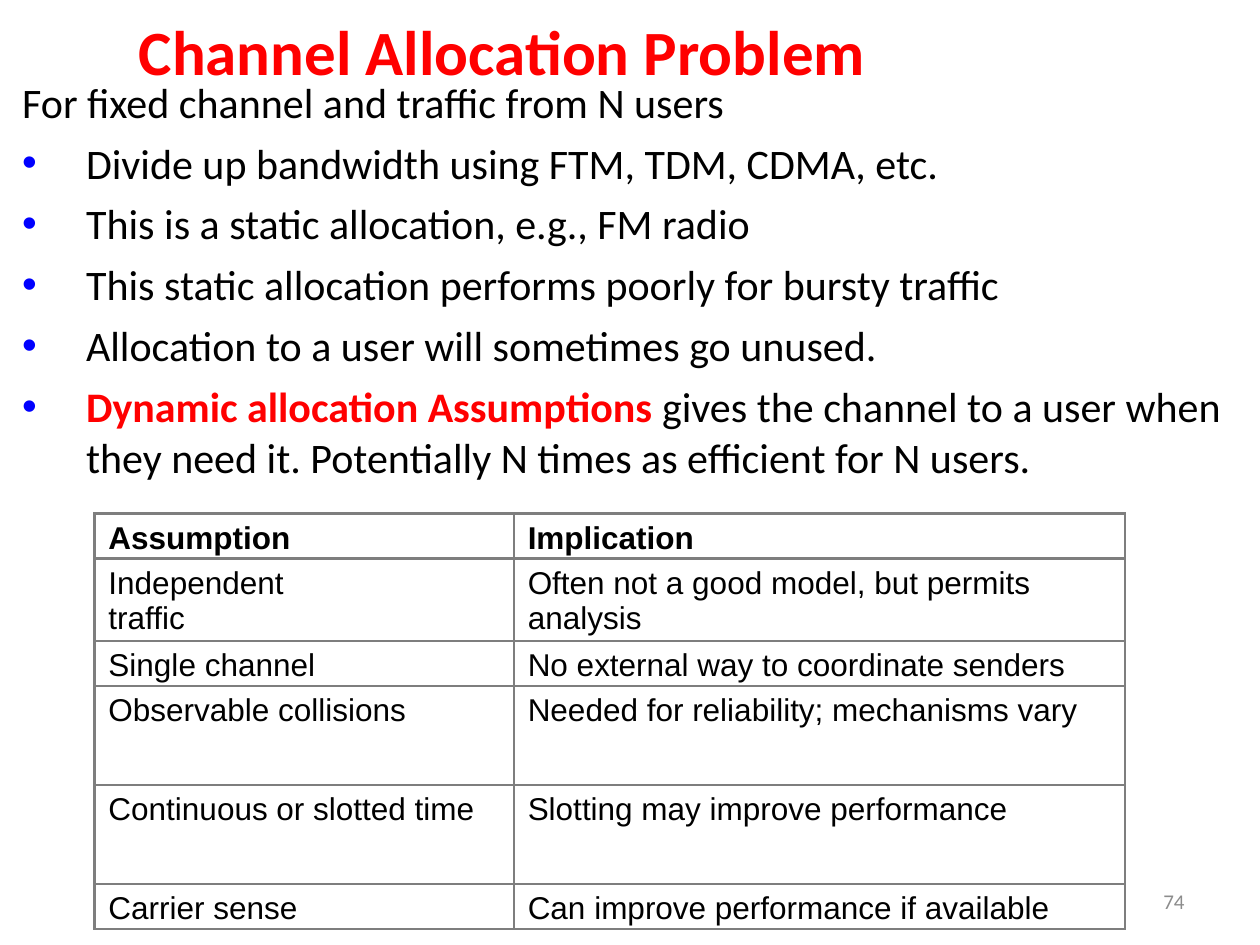
from dataclasses import dataclass

from lxml import etree
from pptx import Presentation
from pptx import util as u
from pptx.dml.color import RGBColor
from pptx.enum import text
from pptx.oxml import ns

RED = RGBColor(0xFF, 0, 0)
BLACK = RGBColor(0, 0, 0)
BLUE = RGBColor(0, 0, 0xFF)
PAGE_GREY = RGBColor(0x8C, 0x8C, 0x8C)
BORDER_GREY = RGBColor(0x7E, 0x7E, 0x7E)


@dataclass(frozen=True)
class Style:
    font: str
    size: float
    color: RGBColor = BLACK
    bold: bool = False


@dataclass(frozen=True)
class Span:
    words: str
    style: Style


@dataclass(frozen=True)
class Row:
    assumption: tuple[str, ...]
    implication: tuple[str, ...]
    height: float


TITLE = Style("Calibri", 36, RED, True)
BODY = Style("Calibri", 24)
STRONG = Style("Calibri", 24, RED, True)
HEADER = Style("Arial", 18, bold=True)
CELL = Style("Arial", 18)
NUMBER = Style("Calibri", 12, PAGE_GREY)

INTRO = Span("For fixed channel and traffic from N users", BODY)
BULLETS = [
    [Span("Divide up bandwidth using FTM, TDM, CDMA, etc.", BODY)],
    [Span("This is a static allocation, e.g., FM radio", BODY)],
    [Span("This static allocation performs poorly for bursty traffic", BODY)],
    [Span("Allocation to a user will sometimes go unused.", BODY)],
    [
        Span("Dynamic allocation Assumptions ", STRONG),
        Span("gives the channel to a user when they need it. "
             "Potentially N times as efficient for N users.", BODY),
    ],
]

ONE_LINE, TWO_LINES, TALL = 25.1, 46.3, 56.6
COLUMN_WIDTHS = (239.6, 349.4)
ROWS = [
    Row(("Assumption",), ("Implication",), ONE_LINE),
    Row(("Independent", "traffic"),
        ("Often not a good model, but permits analysis",), TWO_LINES),
    Row(("Single channel",), ("No external way to coordinate senders",), ONE_LINE),
    Row(("Observable collisions",),
        ("Needed for reliability; mechanisms vary",), TALL),
    Row(("Continuous or slotted time",), ("Slotting may improve performance",), TALL),
    Row(("Carrier sense",), ("Can improve performance if available",), ONE_LINE),
]


def add_span(para, span: Span) -> None:
    run = para.add_run()
    run.text = span.words
    font = run.font
    font.name = span.style.font
    font.size = u.Pt(span.style.size)
    font.bold = span.style.bold
    font.color.rgb = span.style.color


def add_box(page, left: float, top: float, width: float, height: float,
            insets: tuple[float, float, float, float], anchor):
    box = page.shapes.add_textbox(u.Pt(left), u.Pt(top), u.Pt(width), u.Pt(height))
    frame = box.text_frame
    frame.word_wrap = True
    frame.vertical_anchor = anchor
    (frame.margin_left, frame.margin_top,
     frame.margin_right, frame.margin_bottom) = map(u.Pt, insets)
    return frame


def add_bullet(para, indent: float) -> None:
    props = para._p.get_or_add_pPr()
    props.set("marL", str(u.Pt(indent)))
    props.set("indent", str(-u.Pt(indent)))
    color = etree.SubElement(props, ns.qn("a:buClr"))
    etree.SubElement(color, ns.qn("a:srgbClr"), val=str(BLUE))
    etree.SubElement(props, ns.qn("a:buFont"), typeface="Arial")
    etree.SubElement(props, ns.qn("a:buChar"), char="•")


def add_borders(cell) -> None:
    props = cell._tc.get_or_add_tcPr()
    for place, side in enumerate(("lnL", "lnR", "lnT", "lnB")):
        line = etree.Element(ns.qn(f"a:{side}"), w=str(u.Pt(1.5)))
        fill = etree.SubElement(line, ns.qn("a:solidFill"))
        etree.SubElement(fill, ns.qn("a:srgbClr"), val=str(BORDER_GREY))
        props.insert(place, line)


def fill_cell(cell, lines: tuple[str, ...], style: Style) -> None:
    cell.fill.background()
    cell.margin_left, cell.margin_top = u.Pt(8), u.Pt(4)
    cell.margin_right = cell.margin_bottom = u.Pt(0)
    frame = cell.text_frame
    for index, words in enumerate(lines):
        para = frame.add_paragraph() if index else frame.paragraphs[0]
        add_span(para, Span(words, style))
    add_borders(cell)


def add_assumptions(page, left: float, top: float) -> None:
    frame = page.shapes.add_table(
        len(ROWS), len(COLUMN_WIDTHS), u.Pt(left), u.Pt(top),
        u.Pt(sum(COLUMN_WIDTHS)), u.Pt(sum(row.height for row in ROWS)))
    table = frame.table
    table.first_row = table.horz_banding = False
    for column, width in zip(table.columns, COLUMN_WIDTHS):
        column.width = u.Pt(width)
    for index, row in enumerate(ROWS):
        table.rows[index].height = u.Pt(row.height)
        style = CELL if index else HEADER
        fill_cell(table.cell(index, 0), row.assumption, style)
        fill_cell(table.cell(index, 1), row.implication, style)


def main() -> None:
    deck = Presentation()
    deck.slide_width, deck.slide_height = u.Pt(720), u.Pt(540)
    page = deck.slides.add_slide(deck.slide_layouts[6])

    # Title
    para = add_box(page, 12, 6, 550, 44.6, (0, 1, 0, 0),
                   text.MSO_ANCHOR.MIDDLE).paragraphs[0]
    para.alignment = text.PP_ALIGN.CENTER
    add_span(para, Span("Channel Allocation Problem", TITLE))

    # Introduction and bullets
    body = add_box(page, 12.2, 36, 690, 241, (0.5, 7.5, 0, 0), text.MSO_ANCHOR.TOP)
    add_span(body.paragraphs[0], INTRO)
    for spans in BULLETS:
        para = body.add_paragraph()
        add_bullet(para, 36.5)
        para.space_before = u.Pt(6)
        for span in spans:
            add_span(para, span)

    # Table of assumptions
    add_assumptions(page, 54, 293.5)

    # Page number
    para = add_box(page, 516, 500.5, 168, 28.8, (7.2, 3.6, 7.2, 3.6),
                   text.MSO_ANCHOR.MIDDLE).paragraphs[0]
    para.alignment = text.PP_ALIGN.RIGHT
    add_span(para, Span("74", NUMBER))

    deck.save("out.pptx")


if __name__ == "__main__":
    main()
